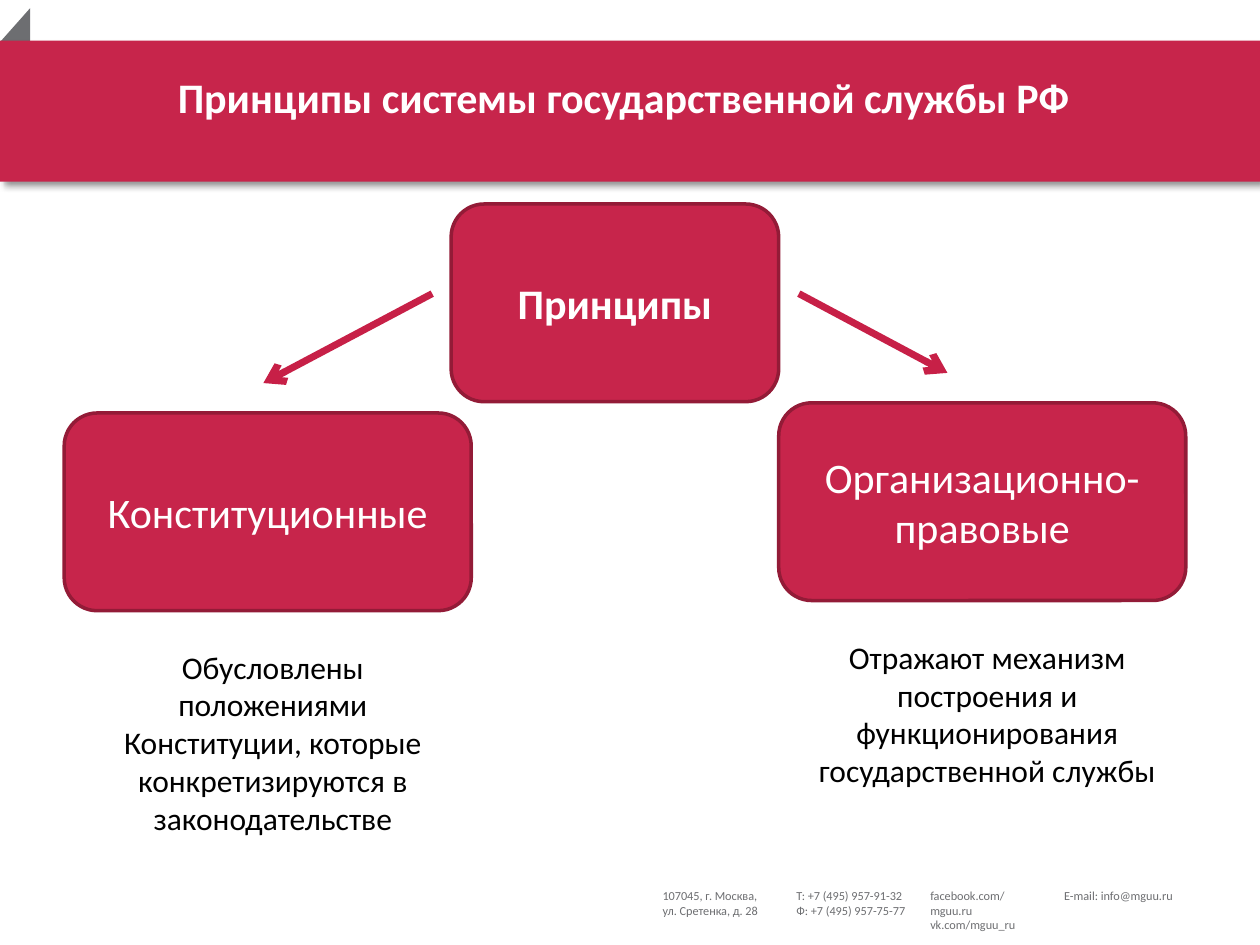
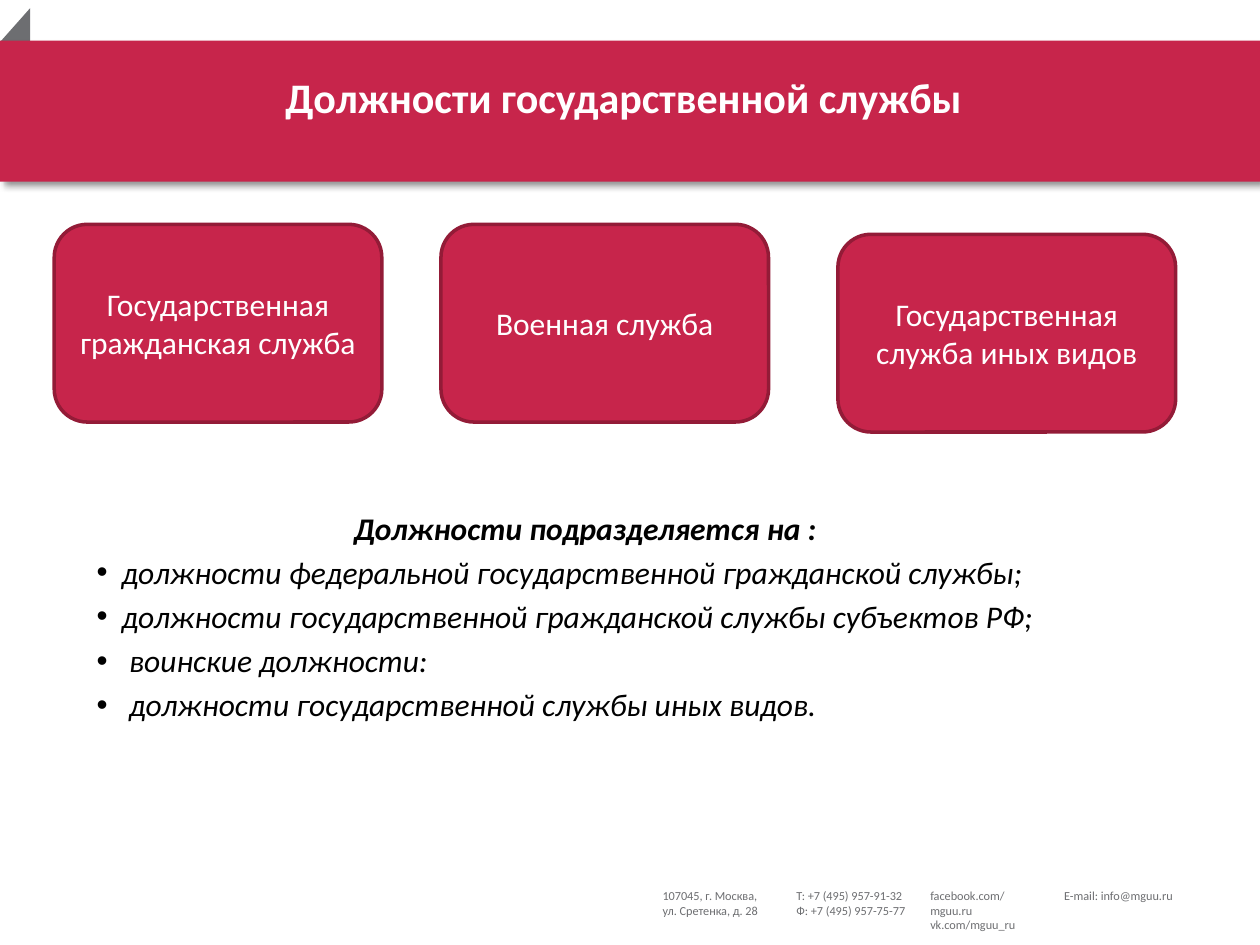
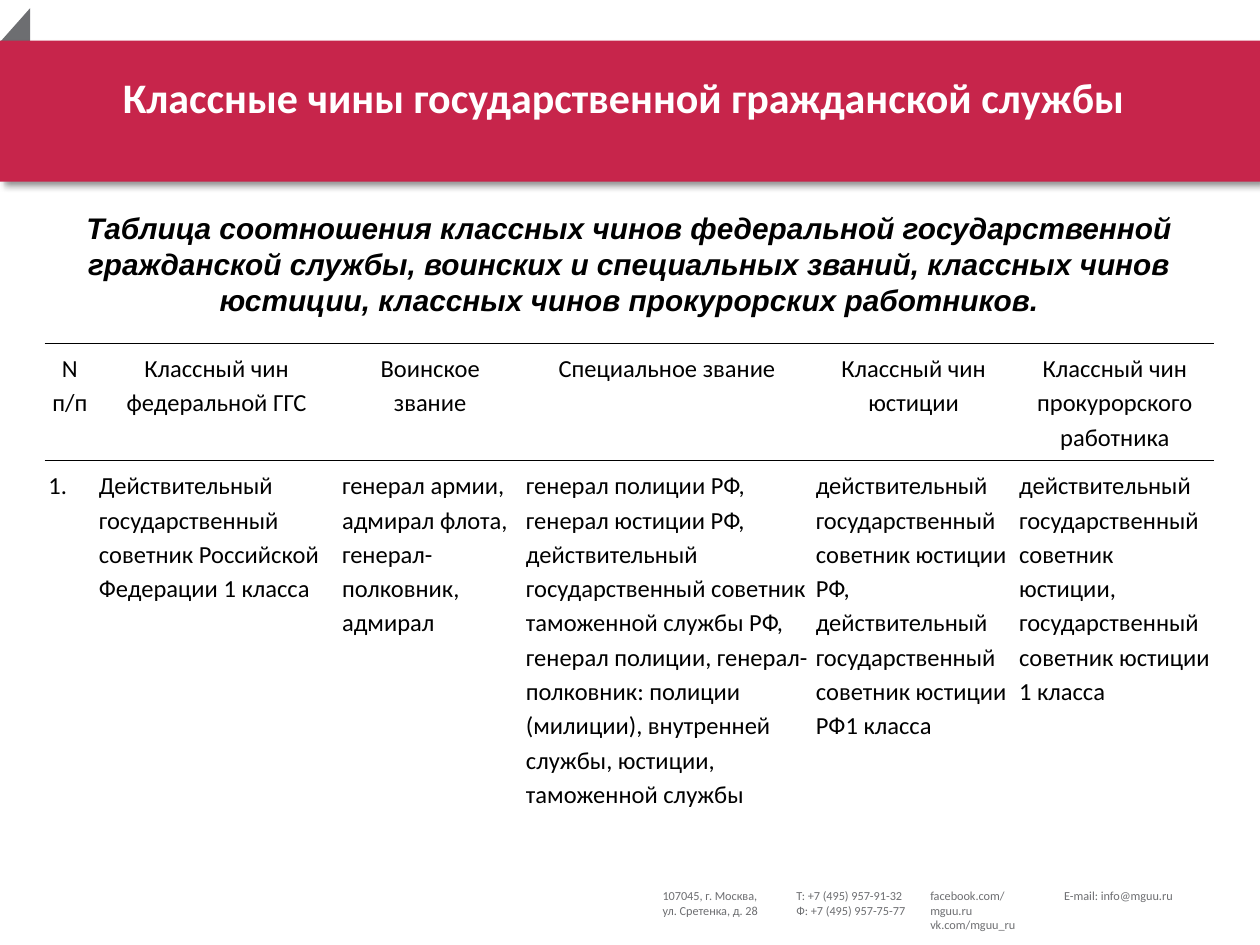
from dataclasses import dataclass
from typing import Optional

from lxml.etree import SubElement
from pptx import Presentation
from pptx.dml.color import RGBColor
from pptx.enum.shapes import MSO_CONNECTOR, MSO_SHAPE
from pptx.enum.text import MSO_ANCHOR, PP_ALIGN
from pptx.oxml.ns import qn
from pptx.presentation import Presentation as Deck
from pptx.shapes.autoshape import Shape
from pptx.slide import Slide
from pptx.table import _Cell
from pptx.text.text import _Paragraph
from pptx.util import Pt

# Shared look
CRIMSON = RGBColor(0xC7, 0x25, 0x4B)
ARROW_RED = RGBColor(0xC7, 0x20, 0x47)
DARK_RED = RGBColor(0x93, 0x1B, 0x37)
GREY = RGBColor(0x6D, 0x6E, 0x71)
BLACK = RGBColor(0, 0, 0)
WHITE = RGBColor(0xFF, 0xFF, 0xFF)
FONT = "Calibri"

FOOTER_LEFT, FOOTER_TOP, FOOTER_PITCH = 371.5, 504, 76.5
FOOTER = [
    ["107045, г. Москва,", "ул. Сретенка, д. 28"],
    ["Т: +7 (495) 957-91-32", "Ф: +7 (495) 957-75-77"],
    ["facebook.com/mguu.ru", "vk.com/mguu_ru"],
    ["E-mail: info@mguu.ru"],
]


@dataclass(frozen=True)
class Box:
    left: float
    top: float
    width: float
    height: float


@dataclass(frozen=True)
class Style:
    size: float
    color: RGBColor = BLACK
    bold: bool = False
    italic: bool = False
    name: str = FONT
    align: Optional[PP_ALIGN] = PP_ALIGN.CENTER


@dataclass(frozen=True)
class Card:
    text: str
    box: Box
    style: Style


@dataclass(frozen=True)
class Arrow:
    start: tuple[float, float]
    end: tuple[float, float]


@dataclass(frozen=True)
class Bullet:
    text: str
    indent: float


TITLE = Style(24, WHITE, bold=True)
LARGE_CARD = Style(24, WHITE)
SMALL_CARD = Style(18, WHITE)
BODY = Style(18)
FOOTNOTE = Style(7, GREY, align=PP_ALIGN.LEFT)


def format_paragraph(paragraph: _Paragraph, text: str, style: Style) -> None:
    paragraph.text = text
    paragraph.alignment = style.align
    font = paragraph.font
    font.name, font.size = style.name, Pt(style.size)
    font.bold, font.italic = style.bold, style.italic
    font.color.rgb = style.color


def add_text(slide: Slide, box: Box, lines: list[str], style: Style, wrap: bool = True) -> Shape:
    textbox = slide.shapes.add_textbox(Pt(box.left), Pt(box.top), Pt(box.width), Pt(box.height))
    frame = textbox.text_frame
    frame.word_wrap = wrap
    for index, line in enumerate(lines):
        paragraph = frame.add_paragraph() if index else frame.paragraphs[0]
        format_paragraph(paragraph, line, style)
    return textbox


def add_filled(slide: Slide, kind: MSO_SHAPE, box: Box, fill: RGBColor) -> Shape:
    shape = slide.shapes.add_shape(kind, Pt(box.left), Pt(box.top), Pt(box.width), Pt(box.height))
    shape.shadow.inherit = False
    shape.fill.solid()
    shape.fill.fore_color.rgb = fill
    shape.line.fill.background()
    return shape


def add_card(slide: Slide, card: Card) -> None:
    shape = add_filled(slide, MSO_SHAPE.ROUNDED_RECTANGLE, card.box, CRIMSON)
    shape.line.color.rgb = DARK_RED
    shape.line.width = Pt(2)
    shape.text_frame.word_wrap = True
    shape.text_frame.vertical_anchor = MSO_ANCHOR.MIDDLE
    format_paragraph(shape.text_frame.paragraphs[0], card.text, card.style)


def add_arrow(slide: Slide, arrow: Arrow) -> None:
    connector = slide.shapes.add_connector(
        MSO_CONNECTOR.STRAIGHT, *(Pt(value) for value in arrow.start + arrow.end))
    connector.line.color.rgb = ARROW_RED
    connector.line.width = Pt(4)
    SubElement(connector.line._get_or_add_ln(), qn("a:tailEnd"), type="arrow")
    SubElement(connector._element.spPr, qn("a:effectLst"))


def add_band_shadow(band: Shape) -> None:
    effects = band._element.spPr.find(qn("a:effectLst"))
    shadow = SubElement(effects, qn("a:outerShdw"), blurRad=str(Pt(4)), dist=str(Pt(3)),
                        dir="2700000", algn="tl", rotWithShape="0")
    color = SubElement(shadow, qn("a:srgbClr"), val=str(BLACK))
    SubElement(color, qn("a:alpha"), val="40000")


def add_page(deck: Deck, title: str) -> Slide:
    """Add a slide with the corner fold, title band and contact footer."""
    slide = deck.slides.add_slide(deck.slide_layouts[6])
    fold = add_filled(slide, MSO_SHAPE.RIGHT_TRIANGLE, Box(5, 9.4, 24.5, 27.4), GREY)
    fold.rotation = 41.6
    add_band_shadow(add_filled(slide, MSO_SHAPE.RECTANGLE, Box(0, 23.2, 720, 80.6), CRIMSON))
    for column, lines in enumerate(FOOTER):
        left = FOOTER_LEFT + column * FOOTER_PITCH
        add_text(slide, Box(left, FOOTER_TOP, FOOTER_PITCH, 32), lines, FOOTNOTE, wrap=False)
    add_text(slide, Box(14.4, 37.4, 684, 66), [title], TITLE)
    return slide


def add_bullets(slide: Slide, box: Box, heading: str, bullets: list[Bullet]) -> None:
    frame = add_text(slide, box, [heading], Style(18, bold=True, italic=True)).text_frame
    for bullet in bullets:
        paragraph = frame.add_paragraph()
        properties = paragraph._p.get_or_add_pPr()
        properties.set("marL", str(Pt(bullet.indent)))
        properties.set("indent", str(-Pt(bullet.indent)))
        paragraph.space_before = Pt(3.6)
        SubElement(properties, qn("a:buFont"), typeface="Arial")
        SubElement(properties, qn("a:buChar"), char="•")
        format_paragraph(paragraph, bullet.text, Style(18, italic=True, align=PP_ALIGN.LEFT))


def set_borders(cell: _Cell) -> None:
    """Rule the cell above and below only."""
    properties = cell._tc.get_or_add_tcPr()
    for side in ("lnL", "lnR", "lnT", "lnB"):
        border = SubElement(properties, qn(f"a:{side}"), w=str(Pt(1)))
        if side == "lnT" or (side == "lnB" and cell._tc.row_idx == 0):
            fill = SubElement(border, qn("a:solidFill"))
            SubElement(fill, qn("a:srgbClr"), val=str(BLACK))
        else:
            SubElement(border, qn("a:noFill"))


def add_ranks(slide: Slide, box: Box, widths: list[float], heights: list[float],
              rows: list[list[str]]) -> None:
    table = slide.shapes.add_table(len(rows), len(widths), Pt(box.left), Pt(box.top),
                                   Pt(box.width), Pt(box.height)).table
    table.first_row = table.horz_banding = False
    for column, width in zip(table.columns, widths):
        column.width = Pt(width)
    for index, (row, height, texts) in enumerate(zip(table.rows, heights, rows)):
        row.height = Pt(height)
        align = PP_ALIGN.LEFT if index else PP_ALIGN.CENTER
        for cell, text in zip(row.cells, texts):
            cell.margin_left = cell.margin_right = Pt(2.2)
            cell.margin_top = cell.margin_bottom = Pt(3.6)
            set_borders(cell)
            cell.fill.background()
            paragraph = cell.text_frame.paragraphs[0]
            paragraph.line_spacing = 1.15
            format_paragraph(paragraph, text, Style(14, align=align))


def build_principles(deck: Deck) -> None:
    slide = add_page(deck, "Принципы системы государственной службы РФ")
    add_text(slide, Box(42.5, 366.5, 226.8, 136),
             ["Обусловлены положениями Конституции, которые конкретизируются в законодательстве"],
             BODY)
    for card in (
        Card("Принципы", Box(257.8, 116.6, 187.2, 113), TITLE),
        Card("Конституционные", Box(36.7, 236, 232.6, 113), LARGE_CARD),
        Card("Организационно-правовые", Box(445, 230.2, 232.6, 113), LARGE_CARD),
    ):
        add_card(slide, card)
    add_text(slide, Box(456.5, 361, 215.3, 136),
             ["Отражают механизм построения и функционирования государственной службы"], BODY)
    add_arrow(slide, Arrow((456.5, 167.8), (541.4, 213.1)))
    add_arrow(slide, Arrow((247, 167.8), (150.5, 218.9)))


def build_positions(deck: Deck) -> None:
    slide = add_page(deck, "Должности государственной службы")
    add_bullets(slide, Box(48.2, 287.3, 572.4, 136), "Должности подразделяется на :", [
        Bullet("должности федеральной государственной гражданской службы;", 14.2),
        Bullet("должности государственной гражданской службы субъектов РФ;", 14.2),
        Bullet("воинские должности:", 18.5),
        Bullet("должности государственной службы иных видов.", 18.5),
    ])
    for card in (
        Card("Государственная гражданская служба", Box(31, 128.2, 187.2, 113), SMALL_CARD),
        Card("Военная служба", Box(252, 128.2, 187.2, 113), SMALL_CARD),
        Card("Государственная служба иных видов", Box(478.8, 133.9, 193, 113), SMALL_CARD),
    ):
        add_card(slide, card)


def build_class_ranks(deck: Deck) -> None:
    slide = add_page(deck, "Классные чины государственной гражданской службы")
    add_text(slide, Box(25.2, 116.6, 668.9, 69),
             ["Таблица соотношения классных чинов федеральной государственной гражданской службы, "
              "воинских и специальных званий, классных чинов юстиции, классных чинов "
              "прокурорских работников."],
             Style(17, bold=True, italic=True, name="Arial"))
    add_ranks(slide, Box(25.5, 196.3, 668.9, 261.4),
              [28.8, 139, 105.1, 165.6, 116.2, 113.8], [67, 194.4], [
        ["N п/п", "Классный чин федеральной ГГС", "Воинское звание", "Специальное звание",
         "Классный чин юстиции", "Классный чин прокурорского работника"],
        ["1.",
         "Действительный государственный советник Российской Федерации 1 класса",
         "генерал армии, адмирал флота, генерал-полковник, адмирал",
         "генерал полиции РФ, генерал юстиции РФ, действительный государственный советник "
         "таможенной службы РФ, генерал полиции, генерал-полковник: полиции (милиции), "
         "внутренней службы, юстиции, таможенной службы",
         "действительный государственный советник юстиции РФ, "
         "действительный государственный советник юстиции РФ1 класса",
         "действительный государственный советник юстиции, "
         "государственный советник юстиции 1 класса"],
    ])


def main() -> None:
    deck = Presentation()
    deck.slide_width, deck.slide_height = Pt(720), Pt(540)
    build_principles(deck)
    build_positions(deck)
    build_class_ranks(deck)
    deck.save("out.pptx")


if __name__ == "__main__":
    main()
